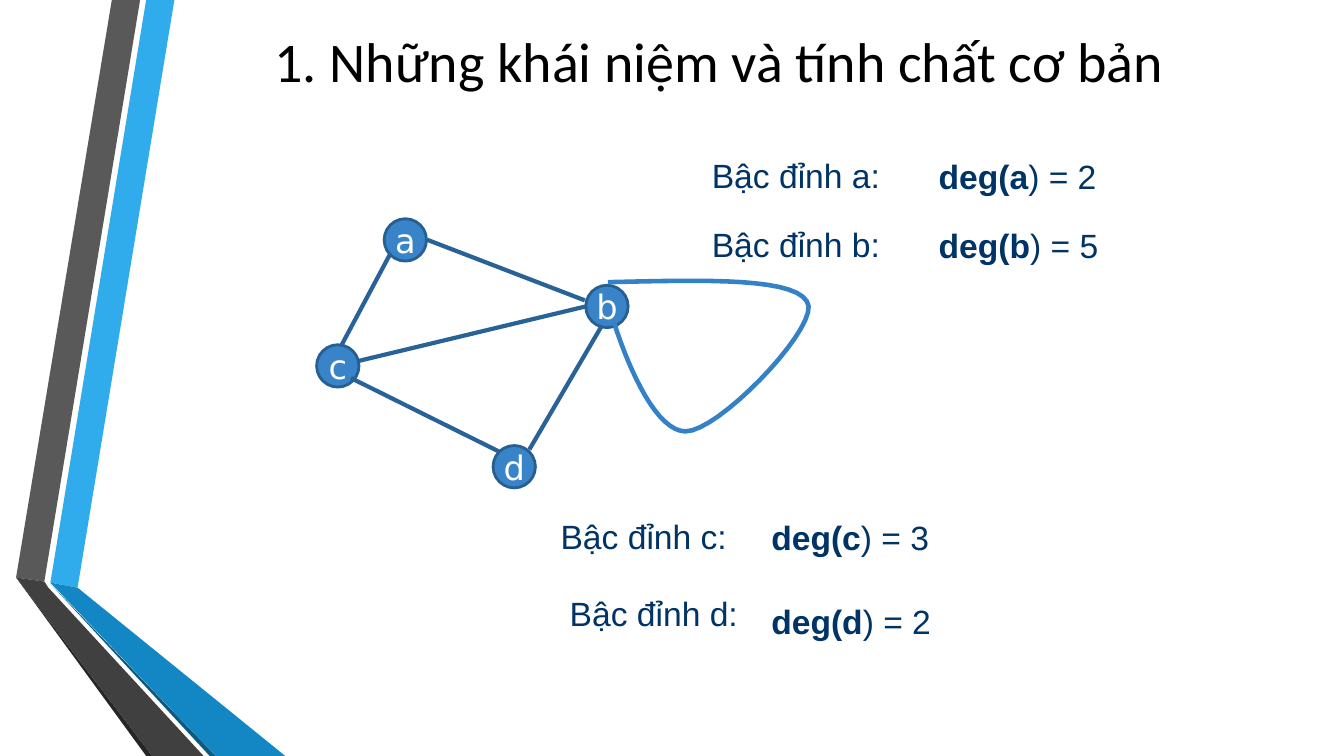
from pptx import Presentation
from pptx.dml.color import RGBColor
from pptx.enum.shapes import MSO_CONNECTOR, MSO_SHAPE
from pptx.enum.text import MSO_ANCHOR, MSO_AUTO_SIZE, PP_ALIGN
from pptx.oxml.ns import qn
from pptx.util import Inches, Pt
from lxml.etree import SubElement

HUES = {
    "sky": "30ACEC", "blue": "1287C3", "deep": "0C5A82",
    "gray": "595959", "dark": "404040", "coal": "262626",
    "node": "3984C8", "rim": "275F92", "edge": "296297", "loop": "3481C7",
    "navy": "003366", "black": "000000", "white": "FFFFFF",
}


def hue(name):
    return RGBColor.from_string(HUES[name])


def write(shape, paras, font="Arial", size=24, color="navy", gap=0,
          align=PP_ALIGN.LEFT, anchor=MSO_ANCHOR.TOP, wrap=False):
    """Fill a shape; each paragraph is a list of (text, bold) runs."""
    frame = shape.text_frame
    frame.auto_size = MSO_AUTO_SIZE.NONE
    frame.word_wrap = wrap
    frame.vertical_anchor = anchor
    frame.margin_left = frame.margin_right = 0
    frame.margin_top = frame.margin_bottom = 0
    for i, runs in enumerate(paras):
        para = frame.add_paragraph() if i else frame.paragraphs[0]
        para.alignment = align
        para.space_before = Pt(gap if i else 0)
        for text, bold in runs:
            run = para.add_run()
            run.text = text
            run.font.name = font
            run.font.size = Pt(size)
            run.font.bold = bold
            run.font.color.rgb = hue(color)


def outline(slide, x, y, points, close):
    """Draw a freeform through points given relative to (x, y)."""
    spots = [(Inches(x + px), Inches(y + py)) for px, py in points]
    pen = slide.shapes.build_freeform(*spots[0])
    pen.add_line_segments(spots[1:], close=close)
    shape = pen.convert_to_shape()
    shape.shadow.inherit = False
    return shape


def ribbon(slide, x, y):
    """Folded gray and blue bands down the left side."""
    bands = [
        ("sky", [(0.34, 5.78), (0.61, 5.83), (1.57, 0), (1.29, 0)]),
        ("gray", [(1.23, 0), (0.95, 0), (0, 5.73), (0.28, 5.77)]),
        ("coal", [(0, 5.73), (1.29, 7.5), (1.35, 7.5)]),
        ("deep", [(0.34, 5.79), (1.92, 7.5), (1.98, 7.5)]),
        ("blue", [(0.34, 5.78), (1.98, 7.5), (2.67, 7.5), (0.61, 5.83)]),
        ("dark", [(1.86, 7.5), (0.32, 5.83), (0.28, 5.77), (0, 5.73),
                  (1.35, 7.5)]),
    ]
    for color, points in bands:
        band = outline(slide, x, y, points, True)
        band.fill.solid()
        band.fill.fore_color.rgb = hue(color)
        band.line.fill.background()


def curve(knots, steps=16):
    """Sample a chain of cubic Bezier arcs: end, control, control, end, ..."""
    points = [knots[0]]
    for i in range(0, len(knots) - 1, 3):
        for k in range(1, steps + 1):
            t = k / steps
            mix = ((1 - t) ** 3, 3 * t * (1 - t) ** 2,
                   3 * t * t * (1 - t), t ** 3)
            points.append(tuple(
                sum(m * p[axis] for m, p in zip(mix, knots[i:i + 4]))
                for axis in (0, 1)))
    return points


def graph(slide, x, y):
    """Four nodes, five edges and the loop at b."""
    # Nodes
    nodes = {"a": (0.67, 0), "b": (2.67, 0.66), "c": (0, 1.25),
             "d": (1.75, 2.25)}
    for name, (dx, dy) in nodes.items():
        node = slide.shapes.add_shape(
            MSO_SHAPE.OVAL, Inches(x + dx), Inches(y + dy),
            Inches(0.42), Inches(0.42))
        node.shadow.inherit = False
        node.fill.solid()
        node.fill.fore_color.rgb = hue("node")
        node.line.color.rgb = hue("rim")
        node.line.width = Pt(2)
        write(node, [[(name, False)]], font="DejaVu Sans", color="white",
              align=PP_ALIGN.CENTER, anchor=MSO_ANCHOR.MIDDLE)
    # Edges: c-d, c-a, a-b, b-d, c-b
    edges = [(0.34, 1.58, 1.81, 2.31), (0.25, 1.25, 0.73, 0.35),
             (1.1, 0.21, 2.66, 0.81), (2.83, 1.06, 2.11, 2.29),
             (0.42, 1.41, 2.67, 0.87)]
    for x1, y1, x2, y2 in edges:
        edge = slide.shapes.add_connector(
            MSO_CONNECTOR.STRAIGHT, Inches(x + x1), Inches(y + y1),
            Inches(x + x2), Inches(y + y2))
        edge.line.color.rgb = hue("edge")
        edge.line.width = Pt(3)
        SubElement(edge._element.spPr, qn("a:effectLst"))
    # Loop
    knots = [(2.89, 0.63), (3.81, 0.61), (4.84, 0.57), (4.88, 0.87),
             (4.9, 1.16), (3.98, 2.11), (3.66, 2.11),
             (3.38, 2.11), (3.11, 1.53), (2.95, 1.03)]
    loop = outline(slide, x, y, curve(knots), False)
    loop.fill.background()
    loop.line.color.rgb = hue("loop")
    loop.line.width = Pt(3.25)


def degrees(slide, x, y, rows, shift, drop=0.01, high=0.43):
    """Vertex names, and their degrees shifted to the right."""
    names = [[(f"Bậc đỉnh {v}:", False)] for v, n in rows]
    sums = [[(f"deg({v}", True), (f") = {n}", False)] for v, n in rows]
    for dx, dy, wide, paras in ((0, 0, 1.69, names),
                                (shift, drop, 1.61, sums)):
        box = slide.shapes.add_textbox(
            Inches(x + dx), Inches(y + dy), Inches(wide), Inches(high))
        write(box, paras, gap=20)


def heading(slide, x, y, wide, high):
    title = slide.shapes.title
    title.left, title.top = Inches(x), Inches(y)
    title.width, title.height = Inches(wide), Inches(high)
    write(title, [[("1. Những khái niệm và tính chất cơ bản", False)]],
          font="Calibri", size=40, color="black", wrap=True,
          align=PP_ALIGN.CENTER, anchor=MSO_ANCHOR.MIDDLE)


def main():
    deck = Presentation()
    deck.slide_width, deck.slide_height = Inches(13.33), Inches(7.5)
    slide = deck.slides.add_slide(deck.slide_layouts[5])
    ribbon(slide, 0.16, 0)
    heading(slide, 1.65, 0.25, 10.96, 0.69)
    graph(slide, 3.14, 2.17)
    degrees(slide, 7.06, 1.54, [("a", 2), ("b", 5)], 2.25, high=1.1)
    degrees(slide, 5.56, 5.12, [("c", 3)], 2.09)
    degrees(slide, 5.65, 5.88, [("d", 2)], 2, drop=0.08)
    deck.save("out.pptx")


if __name__ == "__main__":
    main()
